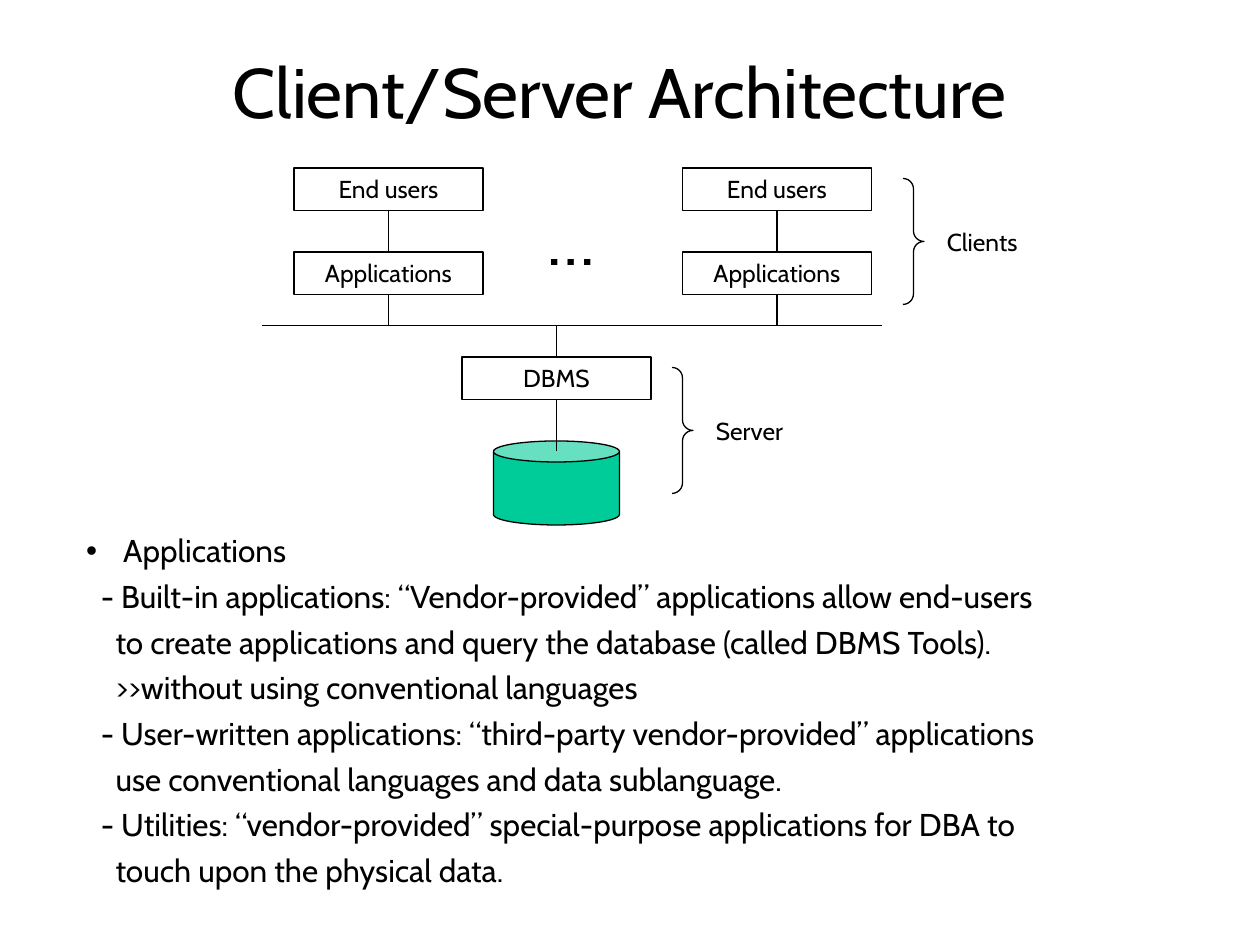
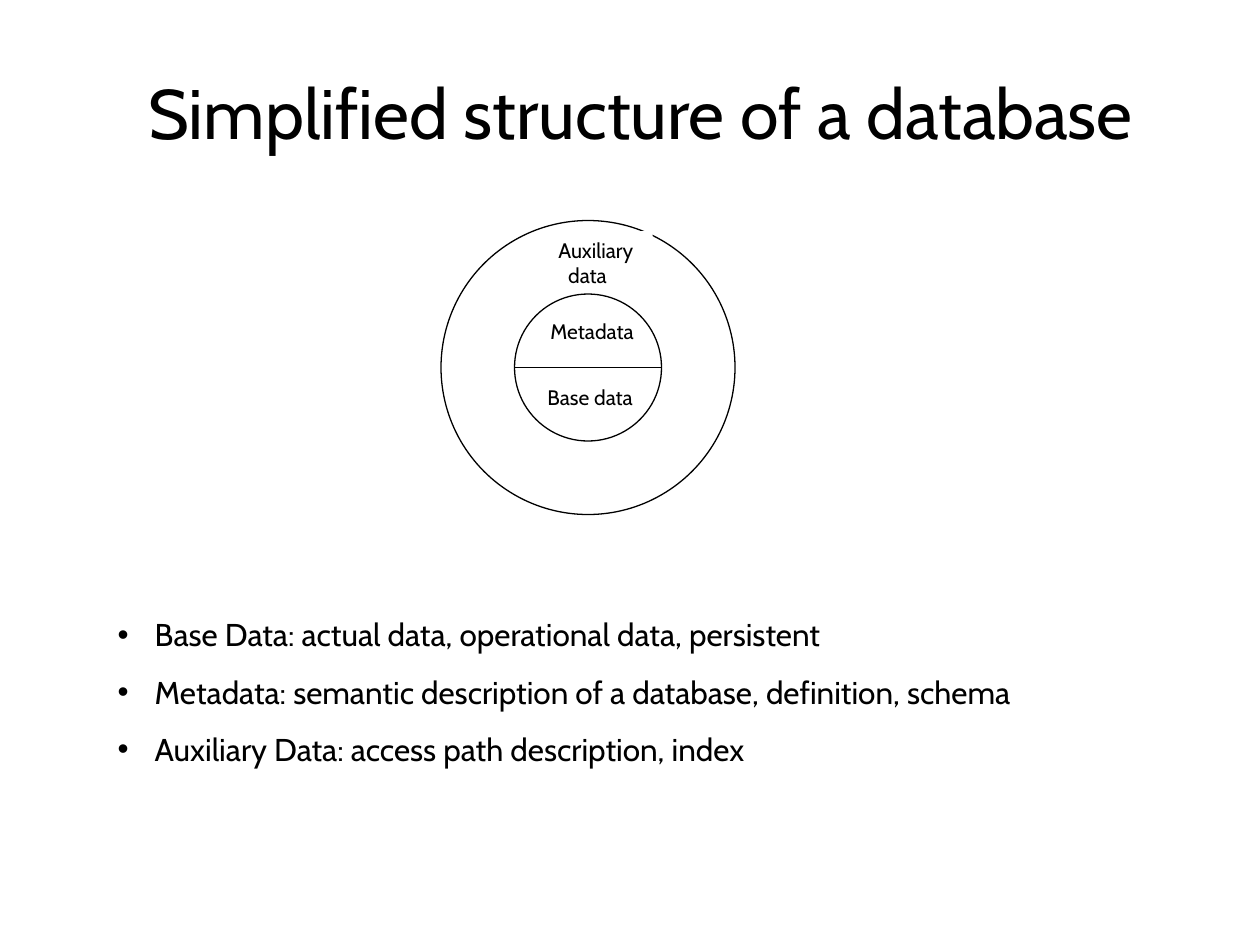
from dataclasses import dataclass
from lxml import etree
from pptx import Presentation
from pptx.dml.color import RGBColor
from pptx.enum.shapes import MSO_CONNECTOR as CONN, MSO_SHAPE as SHAPE
from pptx.enum.text import MSO_ANCHOR as ANCHOR, MSO_AUTO_SIZE as FIT, PP_ALIGN as ALIGN
from pptx.oxml.ns import qn
from pptx.util import Pt


@dataclass(frozen=True)
class Theme:
    font: str = "Cabin"
    ink: RGBColor = RGBColor(0, 0, 0)
    paper: RGBColor = RGBColor(255, 255, 255)
    disk: RGBColor = RGBColor(0, 0xCC, 0x99)
    title: int = 40
    body: int = 18
    node: int = 14
    label: int = 12
    line: float = 0.75
    bullet_indent: float = 21.2
    dash_indent: float = 8.4
    wrap_indent: float = 16.8


T = Theme()
FRAME = dict(margin_left=Pt(7.2), margin_right=Pt(7.2), margin_top=Pt(3.6),
             margin_bottom=Pt(3.6), auto_size=FIT.NONE, vertical_anchor=ANCHOR.TOP)


def set_attrs(obj, values):
    for name, value in values.items():
        setattr(obj, name, value)


def write(tf, lines, size, align=ALIGN.LEFT, gap=0, **frame):
    """Fill a text frame with (text, left indent, bulleted) lines."""
    set_attrs(tf, FRAME | frame)
    for i, (text, indent, bulleted) in enumerate(lines):
        p = tf.paragraphs[0] if i == 0 else tf.add_paragraph()
        set_attrs(p, dict(alignment=align, space_before=Pt(gap if i else 0)))
        pPr = p._p.get_or_add_pPr()
        pPr.set("marL", str(Pt(indent)))
        pPr.set("indent", str(Pt(-indent if bulleted else 0)))
        if bulleted:
            etree.SubElement(pPr, qn("a:buChar")).set("char", "•")
        else:
            etree.SubElement(pPr, qn("a:buNone"))
        r = p.add_run()
        r.text = text
        set_attrs(r.font, dict(name=T.font, size=Pt(size)))
        r.font.color.rgb = T.ink


def place(sp, box):
    set_attrs(sp, dict(zip(("left", "top", "width", "height"), map(Pt, box))))


def add_text(s, box, text, size):
    sp = s.shapes.add_textbox(*map(Pt, box))
    write(sp.text_frame, [(text, 0, False)], size, word_wrap=True)


def add_shape(s, kind, box, fill=None, outlined=True):
    sp = s.shapes.add_shape(kind, *map(Pt, box))
    sp.shadow.inherit = False
    if fill is None:
        sp.fill.background()
    else:
        sp.fill.solid()
        sp.fill.fore_color.rgb = fill
    if outlined:
        sp.line.color.rgb = T.ink
        sp.line.width = Pt(T.line)
    else:
        sp.line.fill.background()
    return sp


def add_line(s, x1, y1, x2, y2):
    c = s.shapes.add_connector(CONN.STRAIGHT, *map(Pt, (x1, y1, x2, y2)))
    c.line.color.rgb = T.ink
    c.line.width = Pt(T.line)
    etree.SubElement(c._element.spPr, qn("a:effectLst"))


def add_slide(prs, title, title_box, lines, body_box, gap):
    s = prs.slides.add_slide(prs.slide_layouts[1])
    head, body = s.placeholders
    place(head, title_box)
    place(body, body_box)
    write(head.text_frame, [(title, 0, False)], T.title, ALIGN.CENTER, word_wrap=True)
    write(body.text_frame, lines, T.body, gap=gap, word_wrap=True)
    return s


def client_server_diagram(s, left, top, width):
    node_w, node_h, step, bus_y = 108, 24.5, 48, 90
    spine_x = left + 168

    def node(x, y, text):
        sp = add_shape(s, SHAPE.RECTANGLE, (x, y, node_w, node_h))
        write(sp.text_frame, [(text, 0, False)], T.node, ALIGN.CENTER, word_wrap=True)

    def tier(x, y, text):
        """Brace with the name of the tier it spans."""
        sp = add_shape(s, SHAPE.RIGHT_BRACE, (x, y, 12, 72))
        sp.adjustments[0] = sp.adjustments[1] = 0.5
        add_text(s, (x + 18, y + 24, 80, node_h), text, T.node)

    add_shape(s, SHAPE.CAN, (spine_x - 36, top + 156, 72, 48), T.disk)
    for x in (left + 18, left + 240):
        mid = x + node_w / 2
        for row, text in enumerate(("End users", "Applications")):
            y = top + row * step
            node(x, y, text)
            add_line(s, mid, y + node_h, mid, top + (step, bus_y)[row])
    add_line(s, left, top + bus_y, left + width, top + bus_y)
    node(spine_x - node_w / 2, top + 108, "DBMS")
    add_line(s, spine_x, top + bus_y, spine_x, top + 108)
    add_line(s, spine_x, top + 108 + node_h, spine_x, top + 162)
    tier(left + 366, top + 6, "Clients")
    tier(left + 234, top + 114, "Server")
    add_text(s, (left + 156, top + 12, 54, 55.5), "…", T.title)


def database_rings(s, left, top, size):
    def label(x, y, w, h, lines, inset):
        sp = add_shape(s, SHAPE.RECTANGLE, (left + x, top + y, w, h), T.paper, False)
        write(sp.text_frame, lines, T.label, margin_left=Pt(inset), word_wrap=False)

    start, core, mid = size / 4, size / 2, top + size / 2
    add_shape(s, SHAPE.OVAL, (left, top, size, size), T.paper)
    label(52.5, 52.5, 68, 19.5, [("Metadata", 0, False)], 10)
    label(48, 90, 79, 25, [("Base data", 0, False)], 12.8)
    add_shape(s, SHAPE.OVAL, (left + start, top + start, core, core))
    label(60, 6, 61, 32, [("Auxiliary", 0, False), ("data", 5.6, False)], 7.2)
    add_line(s, left + start, mid, left + start + core, mid)


def bullet(text):
    return text, T.bullet_indent, True


def dash(text):
    return "- " + text, T.dash_indent, False


def follow(text):
    return text, T.wrap_indent, False


def main():
    prs = Presentation()
    prs.slide_width, prs.slide_height = Pt(720), Pt(540)

    s = add_slide(prs, "Client/Server Architecture", (54, 24, 600, 55.5), [
        bullet("Applications"),
        dash("Built-in applications: “Vendor-provided” applications allow end-users"),
        follow("to create applications and query the database (called DBMS Tools)."),
        follow(">>without using conventional languages"),
        dash("User-written applications: “third-party vendor-provided” applications"),
        follow("use conventional languages and data sublanguage."),
        dash("Utilities: “vendor-provided” special-purpose applications for DBA to"),
        follow("touch upon the physical data."),
    ], (42, 300, 660, 212), 4.5)
    client_server_diagram(s, 150, 96, 354)

    s = add_slide(prs, "Simplified structure of a database", (54, 36, 624, 104), [
        bullet("Base Data: actual data, operational data, persistent"),
        bullet("Metadata: semantic description of a database, definition, schema"),
        bullet("Auxiliary Data: access path description, index"),
    ], (60, 348, 612, 95), 11.2)
    database_rings(s, 252, 126, 168)

    prs.save("out.pptx")


if __name__ == "__main__":
    main()
